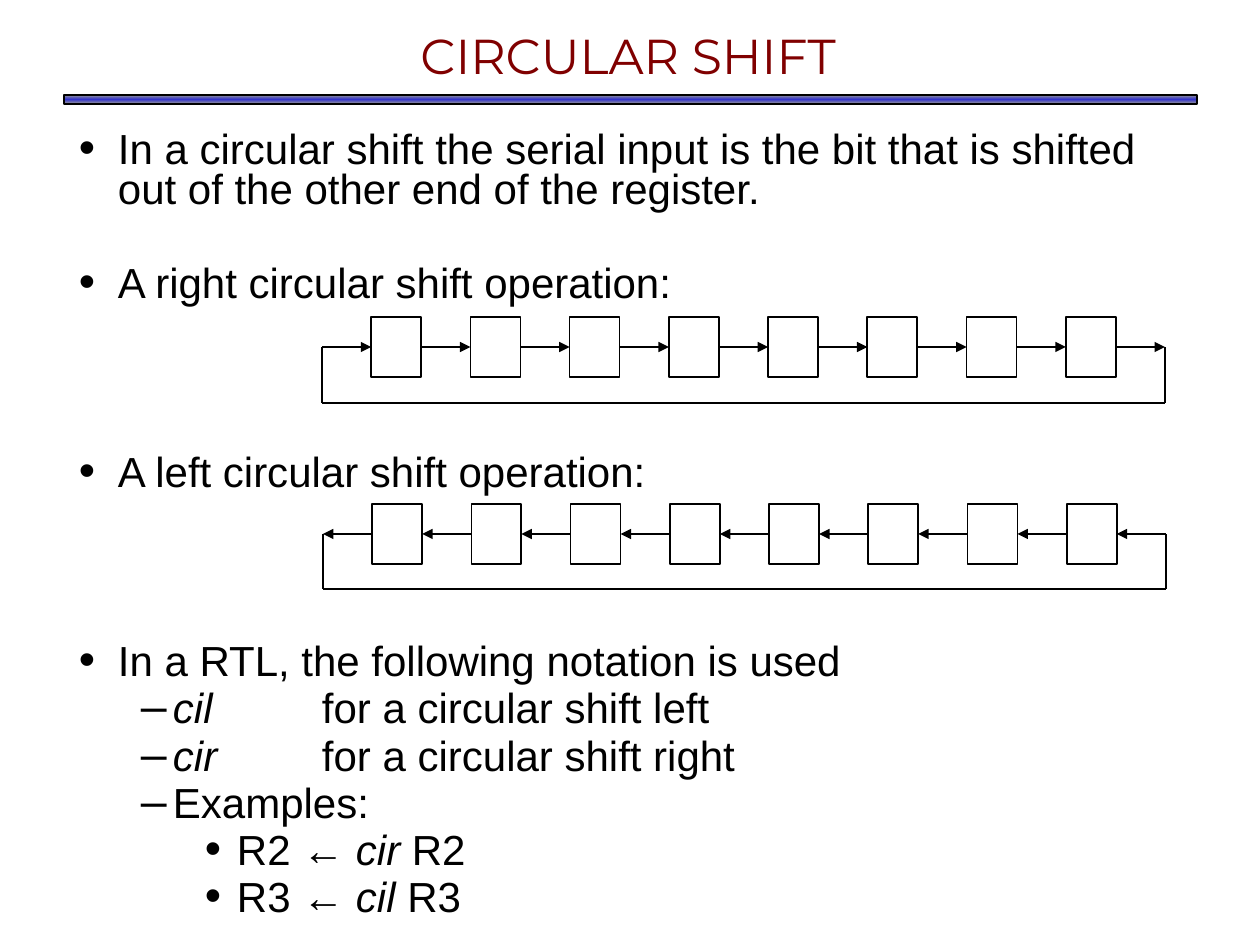
from copy import deepcopy

from lxml.etree import SubElement
from pptx import Presentation
from pptx.dml.color import RGBColor
from pptx.enum.shapes import MSO_CONNECTOR, MSO_SHAPE
from pptx.enum.text import MSO_ANCHOR, MSO_AUTO_SIZE, PP_ALIGN
from pptx.oxml.ns import qn
from pptx.util import Emu, Pt

COLORS = {"title": "800000", "ink": "000000", "edge": "969696", "bar": "3333CC"}
SCALE = 914400 / 126
CELLS, CELL_W, CELL_H = 8, 50, 60
LINE_PT = 27
INDENTS = [(39, -39), (94, -32), (158, -32)]
TAB = 243

BODY = [
    (0, 0, "•", ["In a circular shift the serial input is the bit that is shifted "
                 "out of the other end of the register."]),
    (0, 1, "•", ["A right circular shift operation:"]),
    (0, 3, "•", ["A left circular shift operation:"]),
    (0, 3, "•", ["In a RTL, the following notation is used"]),
    (1, 0, "–", ["", "cil", "\tfor a circular shift left"]),
    (1, 0, "–", ["", "cir", "\tfor a circular shift right"]),
    (1, 0, "–", ["Examples:"]),
    (2, 0, "•", ["R2 ← ", "cir", " R2"]),
    (2, 0, "•", ["R3 ← ", "cil", " R3"]),
]


def px(n):
    """Convert px to EMU."""
    return Emu(round(n * SCALE))


def rgb(name):
    """Look up a named colour."""
    return RGBColor.from_string(COLORS[name])


def place(sp, box):
    """Move a shape to a box of left, top, width and height."""
    sp.left, sp.top, sp.width, sp.height = map(px, box)


def add_run(p, text, font, size, color, italic=False):
    """Add one formatted run to a paragraph."""
    r = p.add_run()
    r.text = text
    r.font.name, r.font.size, r.font.italic = font, Pt(size), italic
    r.font.color.rgb = rgb(color)


def setup_frame(sp, inset_x, inset_y):
    """Anchor a placeholder's text at the top with fixed insets."""
    tf = sp.text_frame
    tf.word_wrap, tf.auto_size = True, MSO_AUTO_SIZE.NONE
    tf.vertical_anchor = MSO_ANCHOR.TOP
    tf.margin_left = tf.margin_right = px(inset_x)
    tf.margin_top = tf.margin_bottom = px(inset_y)
    return tf


def add_title(s, box):
    """Fill the title placeholder."""
    place(s.shapes.title, box)
    p = setup_frame(s.shapes.title, 9, 4).paragraphs[0]
    p.alignment = PP_ALIGN.CENTER
    add_run(p, "CIRCULAR SHIFT", "Montserrat", 28, "title")


def add_bar(s, box):
    """Draw the gradient rule below the title."""
    sp = s.shapes.add_shape(MSO_SHAPE.RECTANGLE, *map(px, box))
    sp.shadow.inherit = False
    sp.line.color.rgb, sp.line.width = rgb("ink"), Pt(1)
    sp.fill.gradient()
    sp.fill.gradient_angle = 270
    first = sp.fill.gradient_stops[0]._gs
    first.addnext(deepcopy(first))
    for stop, pos, name in zip(sp.fill.gradient_stops, (0, 0.5, 1), ("edge", "bar", "edge")):
        stop.position, stop.color.rgb = pos, rgb(name)


def format_bullet(p, level, char):
    """Set the indent, bullet and tab stop of a paragraph."""
    pPr = p._p.get_or_add_pPr()
    margin, indent = INDENTS[level]
    pPr.set("marL", str(px(margin)))
    pPr.set("indent", str(px(indent)))
    SubElement(SubElement(pPr, qn("a:buClr")), qn("a:srgbClr"), val=COLORS["ink"])
    SubElement(pPr, qn("a:buSzPct"), val="111000")
    SubElement(pPr, qn("a:buFont"), typeface="Arial")
    SubElement(pPr, qn("a:buChar"), char=char)
    SubElement(SubElement(pPr, qn("a:tabLst")), qn("a:tab"), pos=str(px(TAB)), algn="l")


def add_body(s, box):
    """Fill the body placeholder, leaving room for the figures."""
    sp = s.placeholders[1]
    place(sp, box)
    tf = setup_frame(sp, 13, 6)
    for i, (level, gap_lines, char, parts) in enumerate(BODY):
        p = tf.add_paragraph() if i else tf.paragraphs[0]
        p.level, p.line_spacing = level, 0.8
        p.space_before = Pt(3.9 + LINE_PT * gap_lines)
        format_bullet(p, level, char)
        for j, text in enumerate(parts):
            if text:
                add_run(p, text, "Arial", 24, "ink", italic=j == 1)


def add_line(shapes, start, end, arrow=False):
    """Draw a black line between two points, with an optional arrowhead."""
    line = shapes.add_connector(MSO_CONNECTOR.STRAIGHT, *map(px, start + end))
    line.line.width, line.line.color.rgb = Pt(1), rgb("ink")
    SubElement(line._element.spPr, qn("a:effectLst"))
    if arrow:
        SubElement(line.line._get_or_add_ln(), qn("a:tailEnd"), type="triangle")
    return line


def add_register(s, box, shift_right):
    """Draw a register whose end bit wraps around to the other end."""
    left, top, width, height = box
    shapes = s.shapes.add_group_shape().shapes
    gap = (width - CELLS * CELL_W) / (CELLS + 1)
    pitch = gap + CELL_W
    mid, right, bottom = top + CELL_H / 2, left + width, top + height
    cells = []
    for i in range(CELLS):
        cell = shapes.add_shape(MSO_SHAPE.RECTANGLE, px(left + gap + i * pitch),
                                px(top), px(CELL_W), px(CELL_H))
        cell.shadow.inherit = False
        cell.fill.background()
        cell.line.color.rgb, cell.line.width = rgb("ink"), Pt(1)
        cells.append(cell)
    sides = [None, *cells, None]
    for i in range(CELLS + 1):
        x = left + i * pitch
        ends = [((x, mid), sides[i], 3), ((x + gap, mid), sides[i + 1], 1)]
        (start, source, out), (end, target, into) = ends if shift_right else ends[::-1]
        line = add_line(shapes, start, end, arrow=True)
        if source:
            line.begin_connect(source, out)
        if target:
            line.end_connect(target, into)
    corners = [(left, mid), (left, bottom), (right, bottom), (right, mid)]
    for start, end in zip(corners, corners[1:]):
        add_line(shapes, start, end)


def main():
    """Build and save the slide."""
    prs = Presentation()
    prs.slide_width, prs.slide_height = px(1260), px(945)
    s = prs.slides.add_slide(prs.slide_layouts[1])
    add_bar(s, (64, 95, 1133, 9))
    add_title(s, (62, 21, 1132, 47))
    add_body(s, (66, 126, 1101, 791))
    add_register(s, (322, 317, 843, 86), shift_right=True)
    add_register(s, (323, 504, 843, 85), shift_right=False)
    prs.save("out.pptx")


if __name__ == "__main__":
    main()
